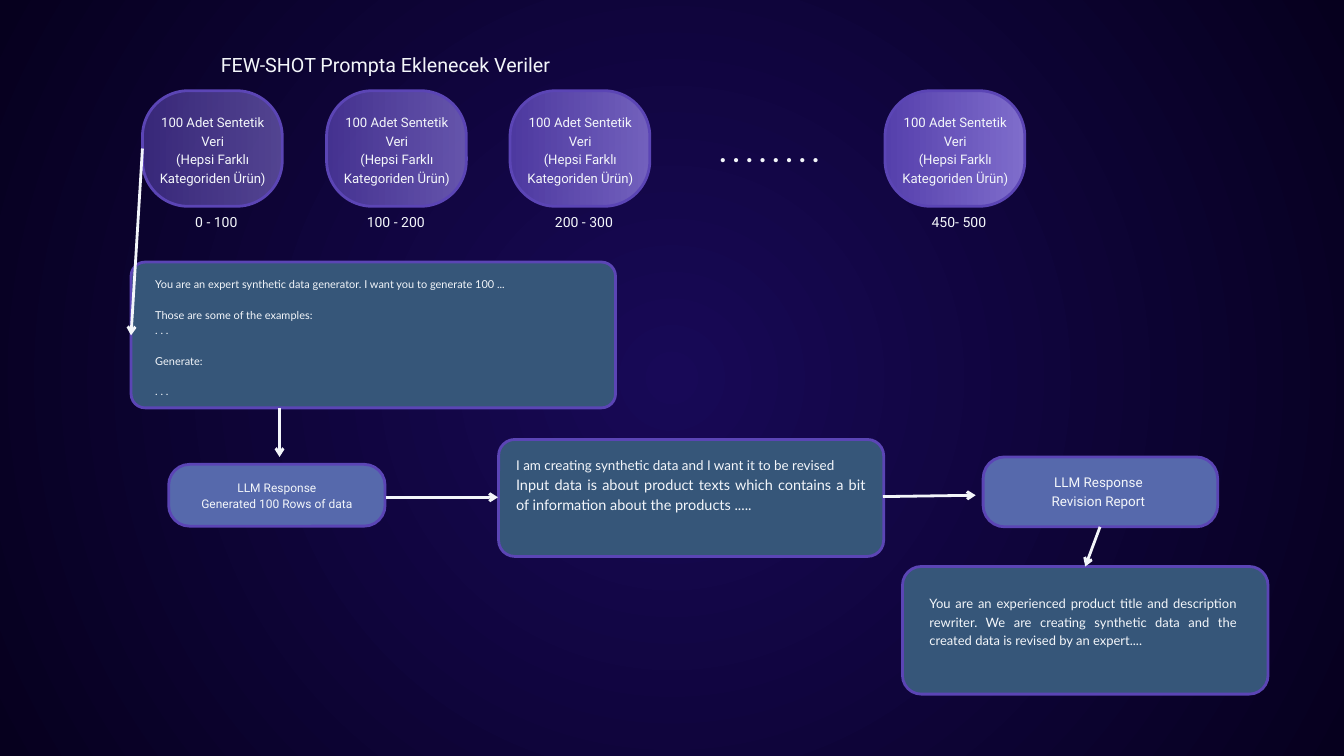
from copy import deepcopy
from dataclasses import dataclass

from lxml import etree
from pptx import Presentation
from pptx import util as u
from pptx.dml.color import RGBColor
from pptx.enum import shapes, text
from pptx.oxml.ns import qn

CENTER, JUSTIFY = text.PP_ALIGN.CENTER, text.PP_ALIGN.JUSTIFY


@dataclass(frozen=True)
class Theme:
    glow: str = "180957"
    night: str = "06001E"
    violet: str = "5B45B5"
    lilac: str = "8875D7"
    prompt: str = "365679"
    response: str = "5669AC"
    ink: str = "F3F6FA"
    heading: str = "Roboto"
    body: str = "Lato"
    title_size: float = 21.1
    dots_size: float = 29.6
    range_size: float = 15
    batch_size: float = 14.1
    leading: float = 1.4
    stroke: float = 3


THEME = Theme()


@dataclass(frozen=True)
class Box:
    left: float
    top: float
    width: float
    height: float

    def lengths(self) -> list:
        return [u.Inches(v) for v in (self.left, self.top, self.width, self.height)]


@dataclass(frozen=True)
class Line:
    words: str
    size: float
    gap: float = 0


@dataclass(frozen=True)
class Batch:
    left: float
    opacity: int
    range_left: float
    range_label: str


@dataclass(frozen=True)
class Step:
    frame: Box
    radius: float
    fill: str
    words_box: Box
    lines: tuple
    font: str
    align: text.PP_ALIGN


BATCHES = (
    Batch(2.12, 56, 2.24, "0 - 100"),
    Batch(4.86, 71, 4.91, "100 - 200"),
    Batch(7.59, 81, 7.71, "200 - 300"),
    Batch(13.17, 93, 13.29, "450- 500"),
)
BATCH_LINES = ("100 Adet Sentetik Veri", "(Hepsi Farklı Kategoriden Ürün)")

STEPS = (
    Step(Box(1.95, 3.9, 7.21, 2.17), 0.21, THEME.prompt, Box(2.31, 4.1, 6.35, 1.99), (
        Line("You are an expert synthetic data generator. I want you to generate 100 ...", 11.7),
        Line("Those are some of the examples:", 11.7, 16.4),
        Line(". . .", 11.7),
        Line("Generate:", 11.7, 16.4),
        Line(". . .", 11.7, 16.4),
    ), THEME.body, JUSTIFY),
    Step(Box(2.51, 6.91, 3.22, 0.92), 0.31, THEME.response, Box(2.97, 7.11, 2.3, 0.49), (
        Line("LLM Response", 12.8),
        Line("Generated 100 Rows of data", 12.8),
    ), THEME.heading, CENTER),
    Step(Box(7.42, 6.54, 5.73, 1.74), 0.24, THEME.prompt, Box(7.68, 6.76, 5.2, 1.68), (
        Line("I am creating synthetic data and I want it to be revised", 14.4),
        Line("Input data is about product texts which contains a bit of information "
             "about the products .....", 15.5),
    ), THEME.body, JUSTIFY),
    Step(Box(14.63, 6.8, 3.49, 1.04), 0.32, THEME.response, Box(14.99, 7.02, 2.71, 0.55), (
        Line("LLM Response", 14.4),
        Line("Revision Report", 14.4),
    ), THEME.heading, CENTER),
    Step(Box(13.43, 8.43, 5.44, 1.9), 0.28, THEME.prompt, Box(13.83, 8.83, 4.58, 1.07), (
        Line("You are an experienced product title and description rewriter. We are creating "
             "synthetic data and the created data is revised by an expert....", 13.9),
    ), THEME.body, JUSTIFY),
)

# Start and end of each arrow in the flow
ARROWS = (
    ((2.12, 2.21), (1.95, 4.99)),
    ((4.16, 6.07), (4.16, 6.8)),
    ((5.74, 7.4), (7.41, 7.4)),
    ((13.14, 7.39), (14.52, 7.37)),
    ((16.37, 7.84), (16.15, 8.43)),
)


def paint_gradient(fill, start: str, end: str) -> None:
    fill.gradient()
    fill.gradient_angle = 0
    for stop, position, color in zip(fill.gradient_stops, (0, 1), (start, end)):
        stop.position = position
        stop.color.rgb = RGBColor.from_string(color)


def paint_background(slide) -> None:
    """Give the slide a glow that darkens from its centre."""
    paint_gradient(slide.background.fill, THEME.glow, THEME.night)
    linear = next(slide.element.iter(qn("a:lin")))
    radial = etree.Element(qn("a:path"), {"path": "circle"})
    etree.SubElement(radial, qn("a:fillToRect"), {side: "50000" for side in "ltrb"})
    linear.getparent().replace(linear, radial)


def write(frame, lines: tuple, font: str, align: text.PP_ALIGN) -> None:
    frame.word_wrap = True
    frame.vertical_anchor = text.MSO_ANCHOR.TOP
    frame.margin_left = frame.margin_right = frame.margin_top = frame.margin_bottom = 0
    for index, line in enumerate(lines):
        paragraph = frame.paragraphs[0] if index == 0 else frame.add_paragraph()
        paragraph.text = line.words
        paragraph.alignment = align
        paragraph.line_spacing = u.Pt(round(line.size * THEME.leading, 1))
        paragraph.space_before = u.Pt(line.gap)
        for run in paragraph.runs:
            run.font.name = font
            run.font.size = u.Pt(line.size)
            run.font.color.rgb = RGBColor.from_string(THEME.ink)


def add_words(slide, box: Box, lines: tuple, font: str, align=CENTER):
    frame = slide.shapes.add_textbox(*box.lengths()).text_frame
    write(frame, lines, font, align)
    return frame


def add_panel(slide, box: Box, radius: float):
    """Add a rounded panel whose fill and outline share the violet gradient."""
    panel = slide.shapes.add_shape(shapes.MSO_SHAPE.ROUNDED_RECTANGLE, *box.lengths())
    panel.adjustments[0] = radius / min(box.width, box.height)
    panel.shadow.inherit = False
    paint_gradient(panel.fill, THEME.violet, THEME.lilac)
    panel.line.width = u.Pt(THEME.stroke)
    properties = panel.element.spPr
    gradient = properties.find(qn("a:gradFill"))
    properties.find(qn("a:ln")).insert(0, deepcopy(gradient))
    return panel


def add_batch(slide, batch: Batch) -> None:
    pill = add_panel(slide, Box(batch.left, 1.35, 2.08, 1.72), 0.68)
    fill_stops = pill.element.spPr.find(qn("a:gradFill"))
    for color in fill_stops.iter(qn("a:srgbClr")):
        etree.SubElement(color, qn("a:alpha"), val=str(batch.opacity * 1000))
    lines = tuple(Line(words, THEME.batch_size) for words in BATCH_LINES)
    add_words(slide, Box(batch.left + 0.12, 1.67, 1.85, 1.32), lines, THEME.heading)
    add_words(slide, Box(batch.range_left, 3.14, 1.96, 0.28),
              (Line(batch.range_label, THEME.range_size),), THEME.heading)


def add_step(slide, step: Step) -> None:
    panel = add_panel(slide, step.frame, step.radius)
    panel.fill.solid()
    panel.fill.fore_color.rgb = RGBColor.from_string(step.fill)
    add_words(slide, step.words_box, step.lines, step.font, step.align)


def add_arrow(slide, start: tuple, end: tuple) -> None:
    arrow = slide.shapes.add_connector(
        shapes.MSO_CONNECTOR.STRAIGHT, *(u.Inches(v) for v in start + end))
    arrow.line.width = u.Pt(THEME.stroke)
    arrow.line.color.rgb = RGBColor.from_string(THEME.ink)
    properties = arrow.element.spPr
    etree.SubElement(properties.find(qn("a:ln")), qn("a:tailEnd"), type="arrow")
    etree.SubElement(properties, qn("a:effectLst"))


def main() -> None:
    deck = Presentation()
    deck.slide_width, deck.slide_height = u.Inches(20), u.Inches(11.25)
    slide = deck.slides.add_slide(deck.slide_layouts[5])
    paint_background(slide)

    title = slide.shapes.title
    title.left, title.top, title.width, title.height = Box(2.2, 0.73, 7.08, 0.4).lengths()
    write(title.text_frame, (Line("FEW-SHOT Prompta Eklenecek Veriler", THEME.title_size),),
          THEME.heading, CENTER)

    for batch in BATCHES:
        add_batch(slide, batch)
    dots = add_words(slide, Box(10.56, 1.92, 1.78, 0.55),
                     (Line(". . . . . . . .", THEME.dots_size),), THEME.body)
    dots.paragraphs[0].runs[0].font.bold = True
    for step in STEPS:
        add_step(slide, step)
    for start, end in ARROWS:
        add_arrow(slide, start, end)
    deck.save("out.pptx")


if __name__ == "__main__":
    main()
